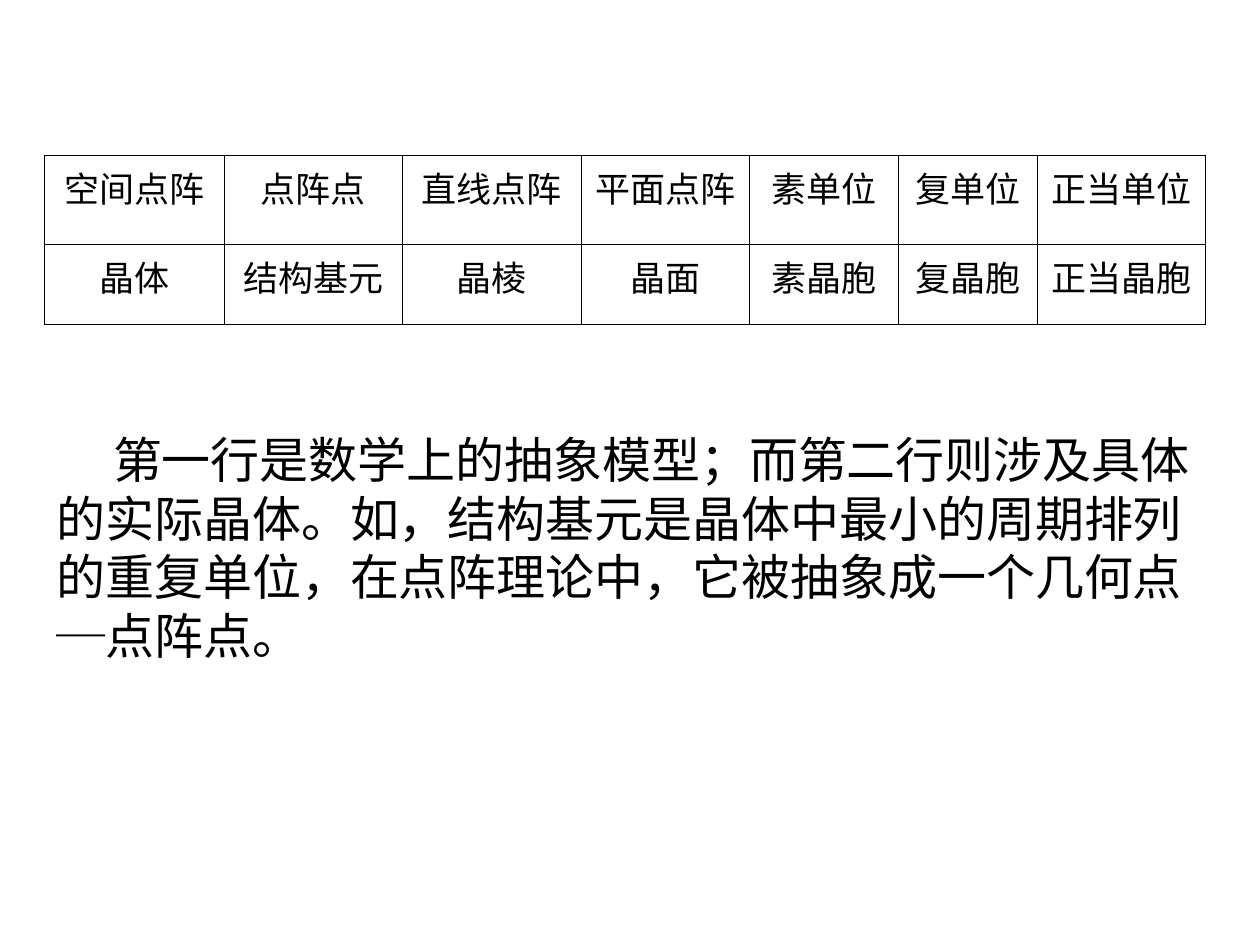
"""Builds a slide that pairs lattice terms with crystal terms and explains them."""
from lxml import etree
from pptx import Presentation
from pptx.dml.color import RGBColor
from pptx.enum.text import MSO_ANCHOR, PP_ALIGN
from pptx.oxml.ns import qn
from pptx.util import Cm, Pt

LEFT, CENTER = PP_ALIGN.LEFT, PP_ALIGN.CENTER
TOP = MSO_ANCHOR.TOP


class Theme:
    ink = RGBColor(0, 0, 0)
    font = "Times New Roman"
    dash = "Arial"
    cell = Pt(20)
    body = Pt(28)
    rule = Pt(0.45)


def write(frame, *parts, size, align=LEFT, indent=0):
    para = frame.paragraphs[0]
    para.alignment = align
    if indent:
        para._p.get_or_add_pPr().set("indent", str(indent))
    for text, font in parts:
        run = para.add_run()
        run.text = text
        run.font.name = font
        run.font.size = size
        run.font.color.rgb = Theme.ink


def frame_cell(cell):
    props = cell._tc.get_or_add_tcPr()
    for side in ("lnL", "lnR", "lnT", "lnB"):
        line = etree.SubElement(props, qn(f"a:{side}"), w=str(Theme.rule))
        fill = etree.SubElement(line, qn("a:solidFill"))
        etree.SubElement(fill, qn("a:srgbClr"), val=str(Theme.ink))
    cell.fill.background()


deck = Presentation()
deck.slide_width, deck.slide_height = Cm(25.4), Cm(19.05)
slide = deck.slides.add_slide(deck.slide_layouts[6])

terms = [
    ["空间点阵", "点阵点", "直线点阵", "平面点阵", "素单位", "复单位", "正当单位"],
    ["晶体", "结构基元", "晶棱", "晶面", "素晶胞", "复晶胞", "正当晶胞"],
]
widths = [3.63, 3.59, 3.6, 3.4, 3, 2.8, 3.39]
heights = [1.8, 1.6]

table = slide.shapes.add_table(
    len(heights), len(widths), Cm(0.89), Cm(3.13), Cm(sum(widths)), Cm(sum(heights))
).table
table.first_row = table.horz_banding = False
for col, width in zip(table.columns, widths):
    col.width = Cm(width)
for row, height, names in zip(table.rows, heights, terms):
    row.height = Cm(height)
    for cell, name in zip(row.cells, names):
        frame_cell(cell)
        cell.vertical_anchor = TOP
        write(cell.text_frame, (name, Theme.font), size=Theme.cell, align=CENTER)

note = slide.shapes.add_textbox(Cm(0.89), Cm(8.53), Cm(23.6), Cm(5)).text_frame
note.word_wrap = True
write(
    note,
    ("第一行是数学上的抽象模型；而第二行则涉及具体的实际晶体。"
     "如，结构基元是晶体中最小的周期排列的重复单位，"
     "在点阵理论中，它被抽象成一个几何点", Theme.font),
    ("─", Theme.dash),
    ("点阵点。", Theme.font),
    size=Theme.body,
    indent=Cm(1.14),
)

deck.save("out.pptx")
